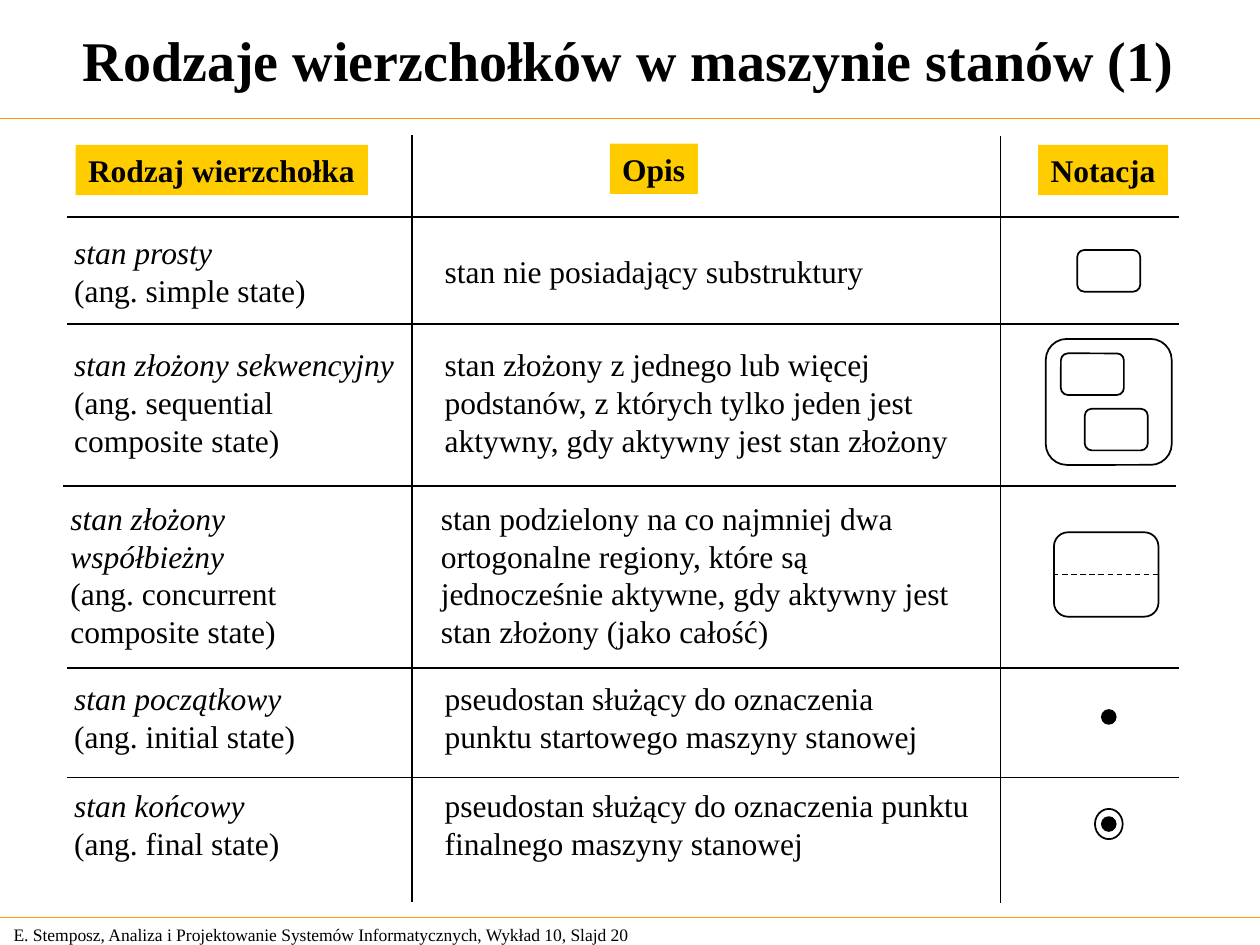
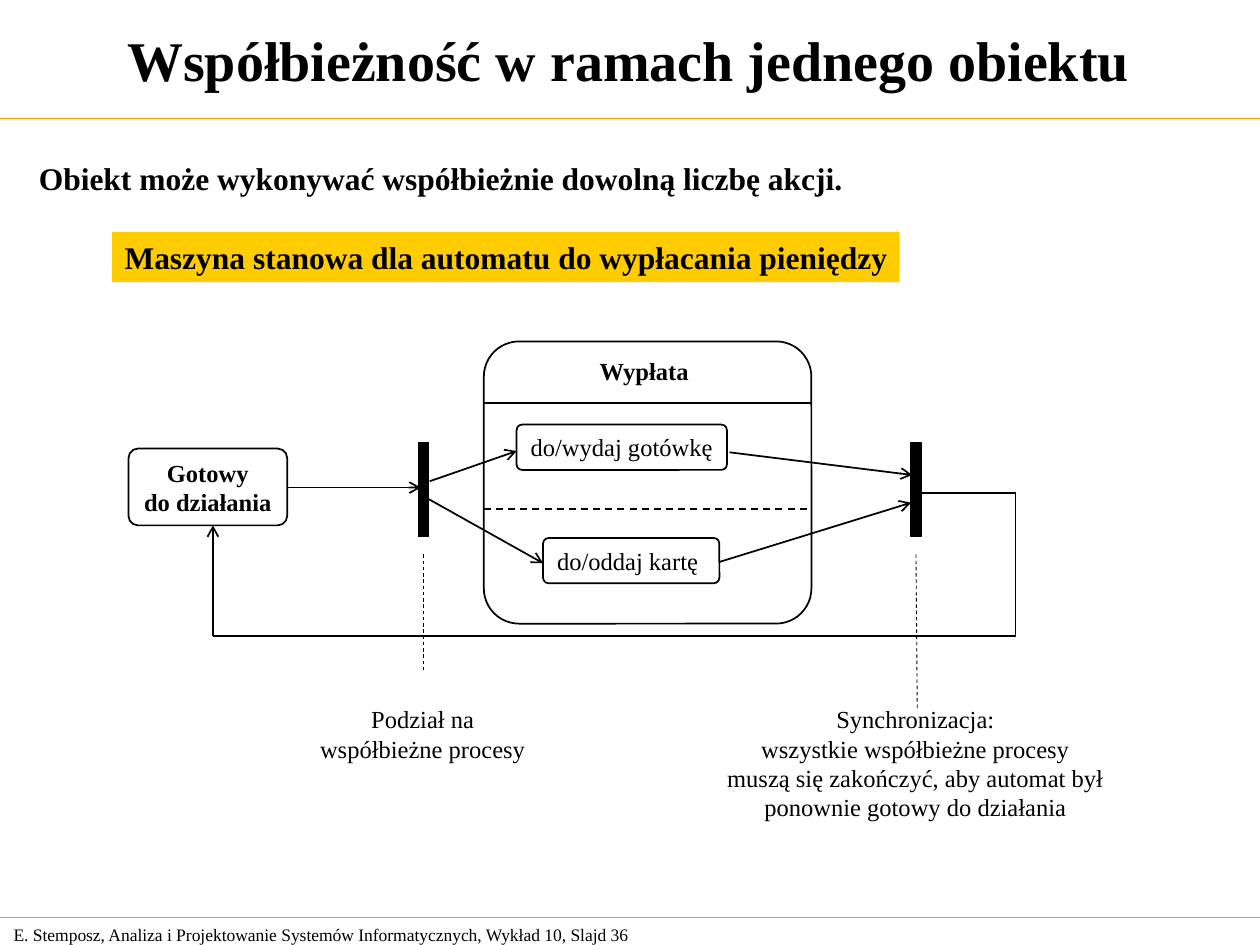
import pptx
import pptx.util
import pptx.dml.color
import pptx.enum.dml
import pptx.enum.shapes
import pptx.enum.text
from dataclasses import dataclass
from lxml import etree
from pptx.oxml.ns import qn

Inches, Pt = pptx.util.Inches, pptx.util.Pt
SHAPE = pptx.enum.shapes.MSO_SHAPE
ALIGN = pptx.enum.text.PP_ALIGN
ANCHOR = pptx.enum.text.MSO_ANCHOR

# Content: slide 1
KINDS_TITLE = "Rodzaje wierzchołków w maszynie stanów (1)"
HEADERS = [  # text, left, top, width
    ("Rodzaj wierzchołka", 0.6, 1.15, 2.32),
    ("Opis", 4.84, 1.14, 0.7),
    ("Notacja", 8.24, 1.15, 1.03),
]
# notation, row centre, left shift, (name paragraphs, line count, width), (description, line count, width)
KINDS = [
    ("simple", 2.15, 0, (["stan prosty", "(ang. simple state)"], 2, 2.04),
     ("stan nie posiadający substruktury", 1, 4.39)),
    ("sequential", 3.19, 0,
     (["stan złożony sekwencyjny", "(ang. sequential", "composite state)"], 3, 2.8),
     ("stan złożony z jednego lub więcej podstanów, z których tylko jeden jest aktywny, "
      "gdy aktywny jest stan złożony", 3, 4.39)),
    ("concurrent", 4.56, -0.03,
     (["stan złożony współbieżny", "(ang. concurrent composite state)"], 4, 2.28),
     ("stan podzielony na co najmniej dwa ortogonalne regiony, które są jednocześnie "
      "aktywne, gdy aktywny jest stan złożony (jako całość)", 4, 4.39)),
    ("initial", 5.69, 0, (["stan początkowy", "(ang. initial state)"], 2, 2.04),
     ("pseudostan służący do oznaczenia punktu startowego maszyny stanowej", 2, 4.21)),
    ("final", 6.54, 0, (["stan końcowy", "(ang. final state)"], 2, 2.04),
     ("pseudostan służący do oznaczenia punktu finalnego maszyny stanowej", 2, 4.39)),
]
NAME_X, DESCRIPTION_X, NOTATION_X = 0.49, 3.43, 8.8
COLUMN_RULES = [(3.27, 1.07), (7.94, 1.08)]  # x, top
ROW_RULES = [(0.53, 1.72), (0.53, 2.57), (0.5, 3.86), (0.53, 5.3), (0.53, 6.17)]  # left, y

# Content: slide 2
CONCURRENCY_TITLE = "Współbieżność w ramach jednego obiektu"
STATEMENT = "Obiekt może wykonywać współbieżnie dowolną liczbę akcji."
CAPTION = "Maszyna stanowa dla automatu do wypłacania pieniędzy"
STATES = [  # lines, place, format
    (["Gotowy", "do działania"], (1.02, 3.56, 1.26, 0.61), dict(bold=True, align=ALIGN.CENTER)),
    ([], (3.84, 2.71, 2.6, 2.24), {}),
    (["do/wydaj gotówkę"], (4.1, 3.37, 1.67, 0.36), {}),
    (["do/oddaj kartę"], (4.31, 4.27, 1.4, 0.36), dict(wrap=True)),
]
NOTES = [
    (["Podział na", "współbieżne procesy"], (2.44, 5.54, 1.83, 0.56)),
    (["Synchronizacja:", "wszystkie współbieżne procesy",
      "muszą się zakończyć, aby automat był", "ponownie gotowy do działania"],
     (5.67, 5.54, 3.19, 1.03)),
]
SYNC_BARS = [3.32, 7.23]
TRANSITIONS = [
    (2.28, 3.87, 3.34, 3.87), (5.79, 3.59, 7.24, 3.77), (5.71, 4.46, 7.23, 3.99),
    (3.41, 3.82, 4.1, 3.58), (3.4, 3.96, 4.31, 4.47),
]
RETURN_PATH = [(7.3, 3.91), (8.06, 3.91), (8.06, 5.05), (1.69, 5.05), (1.69, 4.17)]
NOTE_LEADERS = [(3.36, 4.4, 3.36, 5.32), (7.27, 4.4, 7.28, 5.64)]


@dataclass(frozen=True)
class Theme:
    font: str = "Times New Roman"
    ink: str = "000000"
    paper: str = "FFFFFF"
    label: str = "FFCC00"
    rule: str = "FF9900"
    title: int = 32
    body: int = 18
    diagram: int = 14
    footer: int = 10


THEME = Theme()


def rgb(value):
    return pptx.dml.color.RGBColor.from_string(value)


def box(slide, kind, place, fill=None, line=THEME.ink, width=1, round_by=None):
    sp = slide.shapes.add_shape(kind, *map(Inches, place))
    sp.shadow.inherit = False
    if round_by:
        sp.adjustments[0] = round_by
    if fill:
        sp.fill.solid()
        sp.fill.fore_color.rgb = rgb(fill)
    else:
        sp.fill.background()
    if line:
        sp.line.color.rgb = rgb(line)
        sp.line.width = Pt(width)
    else:
        sp.line.fill.background()
    return sp


def centred(slide, kind, x, y, w, h, **style):
    return box(slide, kind, (x - w / 2, y - h / 2, w, h), **style)


def line(slide, x1, y1, x2, y2, color=THEME.ink, width=1, dash=False, arrow=False):
    sp = slide.shapes.add_connector(pptx.enum.shapes.MSO_CONNECTOR.STRAIGHT,
                                    *map(Inches, (x1, y1, x2, y2)))
    sp.line.color.rgb = rgb(color)
    sp.line.width = Pt(width)
    if dash:
        sp.line.dash_style = pptx.enum.dml.MSO_LINE.DASH
    if arrow:
        etree.SubElement(sp.line._get_or_add_ln(), qn("a:tailEnd"), type="arrow")
    etree.SubElement(sp._element.spPr, qn("a:effectLst"))


def write(sp, lines, size=THEME.body, bold=False, italic_first=False,
          align=ALIGN.LEFT, anchor=ANCHOR.TOP, wrap=False):
    tf = sp.text_frame
    tf.word_wrap = wrap
    tf.vertical_anchor = anchor
    for i, content in enumerate(lines):
        p = tf.paragraphs[0] if i == 0 else tf.add_paragraph()
        p.alignment = align
        r = p.add_run()
        r.text = content
        r.font.name = THEME.font
        r.font.size = Pt(size)
        r.font.bold = bold
        r.font.italic = italic_first and i == 0
        r.font.color.rgb = rgb(THEME.ink)


def text(slide, lines, place, **style):
    write(slide.shapes.add_textbox(*map(Inches, place)), lines, **style)


def label(slide, content, x, y, w):
    sp = box(slide, SHAPE.RECTANGLE, (x, y, w, 0.4), fill=THEME.label, line=None)
    write(sp, [content], bold=True)


def new_slide(prs, title, number):
    slide = prs.slides.add_slide(prs.slide_layouts[6])
    for y in (0.94, 7.28):
        line(slide, 0, y, 10, y, color=THEME.rule, width=0.75)
    text(slide, [title], (0.02, 0.04, 9.94, 0.85), size=THEME.title, bold=True,
         align=ALIGN.CENTER, anchor=ANCHOR.MIDDLE, wrap=True)
    footer = f"E. Stemposz, Analiza i Projektowanie Systemów Informatycznych, Wykład 10, Slajd {number}"
    text(slide, [footer], (0.01, 7.28, 5.24, 0.27), size=THEME.footer,
         anchor=ANCHOR.MIDDLE, wrap=True)
    return slide


def draw_notation(slide, kind, x, y):
    state = dict(fill=THEME.paper, round_by=0.167)
    if kind == "simple":
        centred(slide, SHAPE.ROUNDED_RECTANGLE, x, y, 0.5, 0.33, **state)
    elif kind == "sequential":
        centred(slide, SHAPE.ROUNDED_RECTANGLE, x, y, 1, 1, **state)
        for dx, dy in ((-0.13, -0.22), (0.06, 0.22)):
            draw_notation(slide, "simple", x + dx, y + dy)
    elif kind == "concurrent":
        x -= 0.02
        centred(slide, SHAPE.ROUNDED_RECTANGLE, x, y, 0.83, 0.67, **state)
        line(slide, x - 0.42, y, x + 0.41, y, width=0.75, dash=True)
    else:
        if kind == "final":
            centred(slide, SHAPE.OVAL, x, y, 0.22, 0.24)
        centred(slide, SHAPE.OVAL, x, y, 0.11, 0.11, fill=THEME.ink)


def build_kinds(prs):
    slide = new_slide(prs, KINDS_TITLE, 20)
    for header in HEADERS:
        label(slide, *header)

    # Rows: both texts and the symbol share the row centre
    for kind, y, shift, (name, name_lines, name_w), (desc, desc_lines, desc_w) in KINDS:
        for lines, count, x, w in ((name, name_lines, NAME_X, name_w),
                                   ([desc], desc_lines, DESCRIPTION_X, desc_w)):
            h = 0.1 + 0.3 * count
            text(slide, lines, (x + shift, y - h / 2, w, h), wrap=True,
                 italic_first=lines is name)
        draw_notation(slide, kind, NOTATION_X, y)

    # Grid
    for x, top in COLUMN_RULES:
        line(slide, x, top, x, top + 6.09)
    for left, y in ROW_RULES:
        line(slide, left, y, left + 8.83, y)


def build_concurrency(prs):
    slide = new_slide(prs, CONCURRENCY_TITLE, 36)
    text(slide, [STATEMENT], (0.21, 1.21, 6.58, 0.4), bold=True)
    label(slide, CAPTION, 0.89, 1.84, 6.25)

    # States and the two regions of the composite state
    for lines, place, style in STATES:
        sp = box(slide, SHAPE.ROUNDED_RECTANGLE, place, round_by=0.125)
        write(sp, lines, size=THEME.diagram, **style)
    text(slide, ["Wypłata"], (4.66, 2.78, 0.91, 0.33), size=THEME.diagram, bold=True)
    line(slide, 3.84, 3.2, 6.44, 3.2)
    line(slide, 3.84, 4.04, 6.44, 4.04, dash=True)

    # Transitions, with the way back to the ready state
    for ends in TRANSITIONS:
        line(slide, *ends, arrow=True)
    for start, end in zip(RETURN_PATH, RETURN_PATH[1:]):
        line(slide, *start, *end, arrow=end == RETURN_PATH[-1])

    # Fork and join bars with their notes
    for x in SYNC_BARS:
        box(slide, SHAPE.RECTANGLE, (x, 3.51, 0.08, 0.75), fill=THEME.ink, width=0.75)
    for ends in NOTE_LEADERS:
        line(slide, *ends, width=0.5, dash=True)
    for lines, place in NOTES:
        text(slide, lines, place, size=THEME.diagram, align=ALIGN.CENTER)


def main():
    prs = pptx.Presentation()
    prs.slide_width, prs.slide_height = Inches(10), Inches(7.5)
    build_kinds(prs)
    build_concurrency(prs)
    prs.save("out.pptx")


if __name__ == "__main__":
    main()
